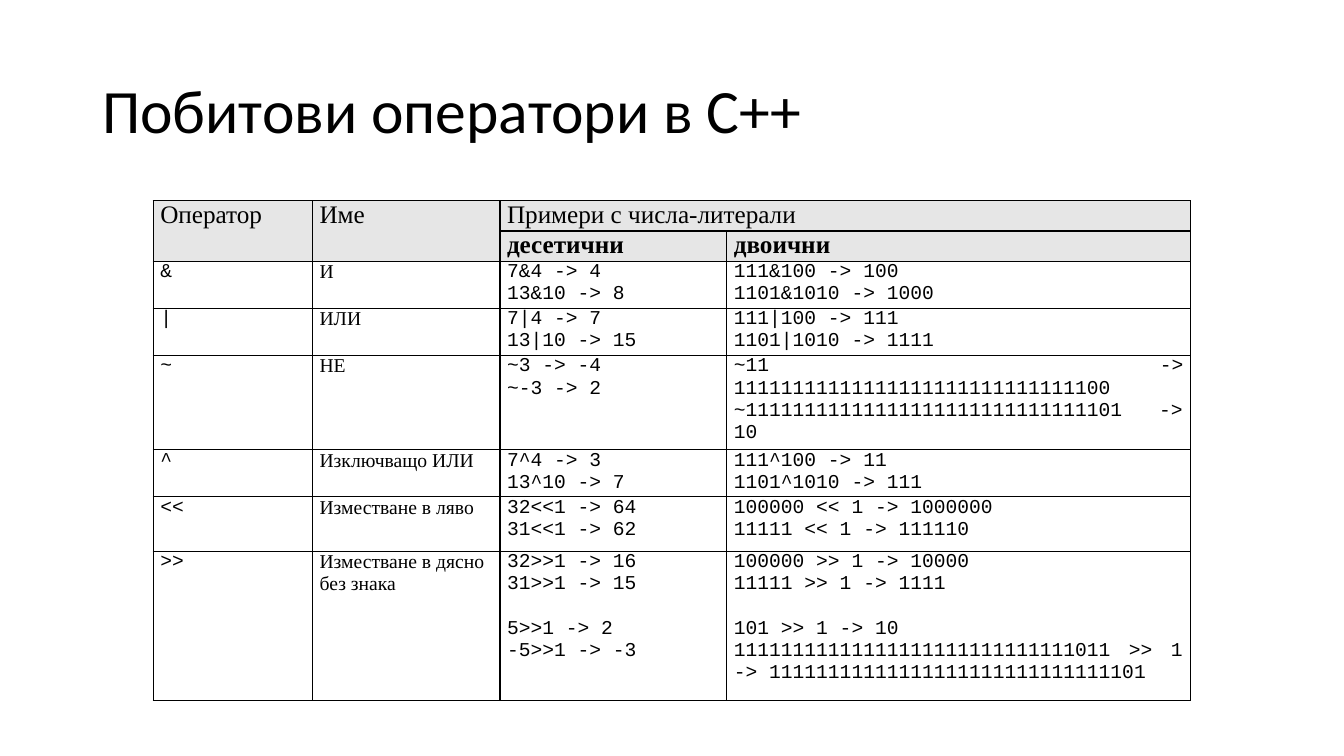
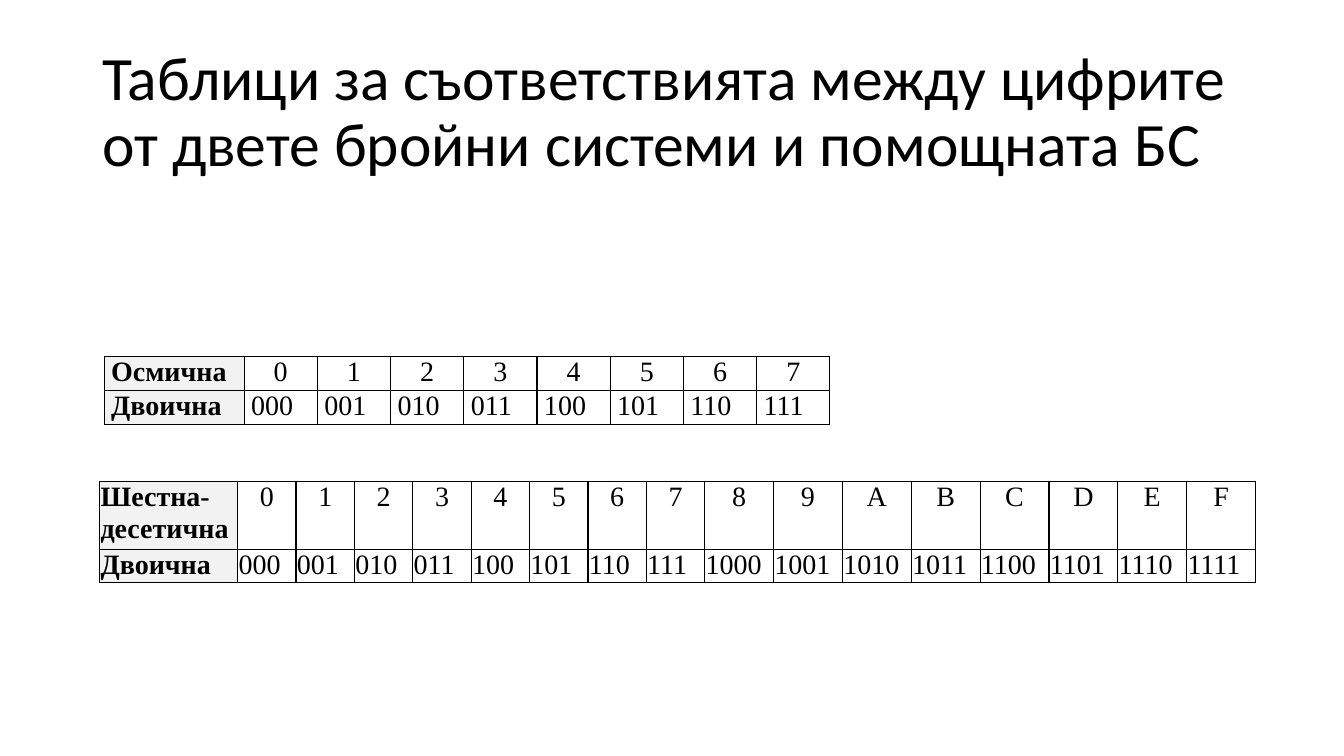
from dataclasses import dataclass

from lxml.etree import SubElement
from pptx import Presentation
from pptx.dml.color import RGBColor
from pptx.enum.text import MSO_ANCHOR, PP_ALIGN
from pptx.oxml.ns import qn
from pptx.util import Pt


@dataclass(frozen=True)
class Theme:
    """Colours, fonts and sizes shared by the slides."""
    ink: str = "000000"
    paper: str = "FFFFFF"
    header_fill: str = "E6E6E6"
    label_fill: str = "F2F2F2"
    title_font: str = "Calibri"
    serif: str = "Times New Roman"
    mono: str = "Courier New"
    title_size: float = 44
    header_size: float = 18
    code_size: float = 14
    digit_size: float = 20
    border: float = 1


THEME = Theme()


@dataclass(frozen=True)
class CellStyle:
    """Look of one table cell."""
    size: float
    font: str = THEME.serif
    bold: bool = False
    fill: str = THEME.paper
    align: PP_ALIGN = PP_ALIGN.JUSTIFY


class Deck:
    """Holds the theme and the current slide, and draws elements on it."""

    def __init__(self, theme):
        """Start a widescreen presentation."""
        self.theme = theme
        self.presentation = Presentation()
        self.presentation.slide_width = Pt(960)
        self.presentation.slide_height = Pt(540)
        self.slide = None

    def add_slide(self, title):
        """Add a blank slide with its title."""
        self.slide = self.presentation.slides.add_slide(self.presentation.slide_layouts[6])
        shape = self.slide.shapes.add_textbox(Pt(66), Pt(28.75), Pt(828), Pt(104.4))
        shape.text_frame.word_wrap = True
        shape.text_frame.vertical_anchor = MSO_ANCHOR.MIDDLE
        paragraph = shape.text_frame.paragraphs[0]
        paragraph.text = title
        paragraph.line_spacing = 0.9
        self.set_font(paragraph, self.theme.title_font, self.theme.title_size)

    def set_font(self, paragraph, name, size, bold=False):
        """Set the font of a whole paragraph."""
        font = paragraph.font
        font.name, font.size, font.bold = name, Pt(size), bold
        font.color.rgb = RGBColor.from_string(self.theme.ink)

    def add_table(self, left, top, widths, heights, rows, style_of, inset=5):
        """Add a bordered table; style_of(row, column) gives each cell's look."""
        frame = self.slide.shapes.add_table(len(rows), len(widths), Pt(left), Pt(top),
                                            Pt(sum(widths)), Pt(sum(heights)))
        table = frame.table
        table.first_row = table.horz_banding = False
        for column, width in zip(table.columns, widths):
            column.width = Pt(width)
        for row, height in zip(table.rows, heights):
            row.height = Pt(height)
        for row_index, texts in enumerate(rows):
            for column_index, text in enumerate(texts):
                self.fill_cell(table.cell(row_index, column_index), text,
                               style_of(row_index, column_index), inset)
        return table

    def fill_cell(self, cell, text, style, inset):
        """Write a cell; an empty line in the text becomes space before the next."""
        cell.margin_left = cell.margin_right = Pt(inset)
        cell.margin_top = cell.margin_bottom = 0
        cell.fill.solid()
        cell.fill.fore_color.rgb = RGBColor.from_string(style.fill)
        self.add_borders(cell)
        blocks = [block.split("\n") for block in text.split("\n\n")]
        cell.text = "\n".join(line for block in blocks for line in block)
        for paragraph in cell.text_frame.paragraphs:
            paragraph.alignment = style.align
            self.set_font(paragraph, style.font, style.size, style.bold)
        start = 0
        for block in blocks[:-1]:
            start += len(block)
            cell.text_frame.paragraphs[start].space_before = Pt(15.9)

    def add_borders(self, cell):
        """Draw a line on each side of a cell."""
        properties = cell._tc.get_or_add_tcPr()
        for position, side in enumerate(("a:lnL", "a:lnR", "a:lnT", "a:lnB")):
            line = SubElement(properties, qn(side), w=str(Pt(self.theme.border)))
            fill = SubElement(line, qn("a:solidFill"))
            SubElement(fill, qn("a:srgbClr"), val=self.theme.ink)
            properties.insert(position, line)


def operator_style(row, column):
    """Style of the operator table: two header rows, names in serif, code in mono."""
    if row < 2:
        return CellStyle(THEME.header_size, bold=row == 1, fill=THEME.header_fill)
    return CellStyle(THEME.code_size, THEME.serif if column == 1 else THEME.mono)


def digit_style(row, column):
    """Style of a digit table: bold labels, centred digits, binary codes below."""
    if column == 0:
        return CellStyle(THEME.digit_size, bold=True, fill=THEME.label_fill)
    return CellStyle(THEME.digit_size, align=PP_ALIGN.JUSTIFY if row else PP_ALIGN.CENTER)


def digit_rows(label, base):
    """Digits of a number system above their binary codes."""
    return [[label] + [format(digit, "X") for digit in range(base)],
            ["Двоична"] + [format(digit, "03b") for digit in range(base)]]


OPERATORS = [
    ("Оператор", "Име", "Примери с числа-литерали", ""),
    ("", "", "десетични", "двоични"),
    ("&", "И", "7&4 -> 4\n13&10 -> 8", "111&100 -> 100\n1101&1010 -> 1000"),
    ("|", "ИЛИ", "7|4 -> 7\n13|10 -> 15", "111|100 -> 111\n1101|1010 -> 1111"),
    ("~", "НЕ", "~3 -> -4\n~-3 -> 2",
     "~11 -> 11111111111111111111111111111100\n~11111111111111111111111111111101 -> 10"),
    ("^", "Изключващо ИЛИ", "7^4 -> 3\n13^10 -> 7", "111^100 -> 11\n1101^1010 -> 111"),
    ("<<", "Изместване в ляво", "32<<1 -> 64\n31<<1 -> 62",
     "100000 << 1 -> 1000000\n11111 << 1 -> 111110"),
    (">>", "Изместване в дясно\nбез знака",
     "32>>1 -> 16\n31>>1 -> 15\n\n5>>1 -> 2\n-5>>1 -> -3",
     "100000 >> 1 -> 10000\n11111 >> 1 -> 1111\n\n101 >> 1 -> 10\n"
     "11111111111111111111111111111011 >> 1 -> 11111111111111111111111111111101"),
]

deck = Deck(THEME)

deck.add_slide("Побитови оператори в C++")
operators = deck.add_table(109.5, 143.4, [113.8, 133.9, 162, 331.2],
                           [20, 20, 31.7, 31.7, 63.5, 31.7, 38.9, 106.4],
                           OPERATORS, operator_style)
for first, last in (((0, 0), (1, 0)), ((0, 1), (1, 1)), ((0, 2), (0, 3))):
    operators.cell(*first).merge(operators.cell(*last))

deck.add_slide("Таблици за съответствията между цифрите от двете бройни системи "
               "и помощната БС")
deck.add_table(71.2, 344.2, [98.6] + [41.7] * 8 + [49.2] * 8, [44.4, 22.2],
               digit_rows("Шестна-\nдесетична", 16), digit_style, inset=0.6)
deck.add_table(74.4, 254.9, [100] + [52.3] * 8, [22.2, 22.2],
               digit_rows("Осмична", 8), digit_style)

deck.presentation.save("out.pptx")
